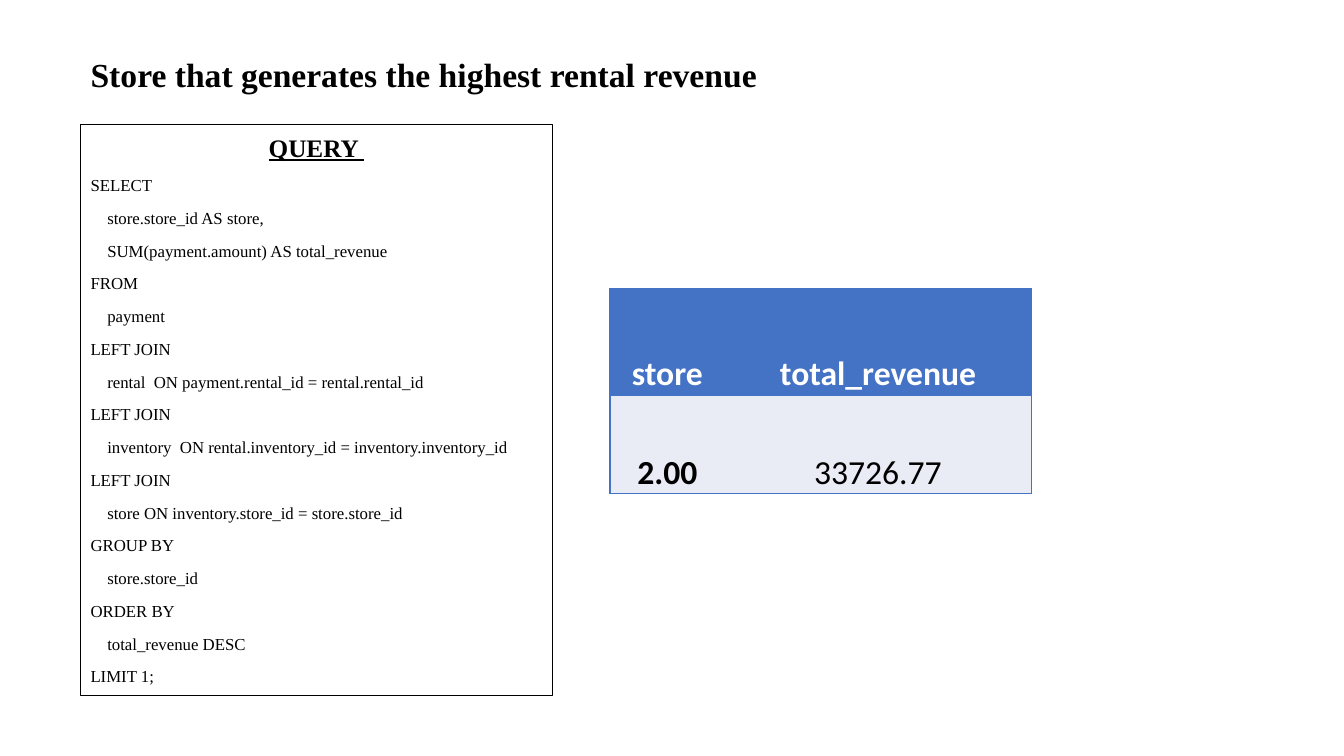
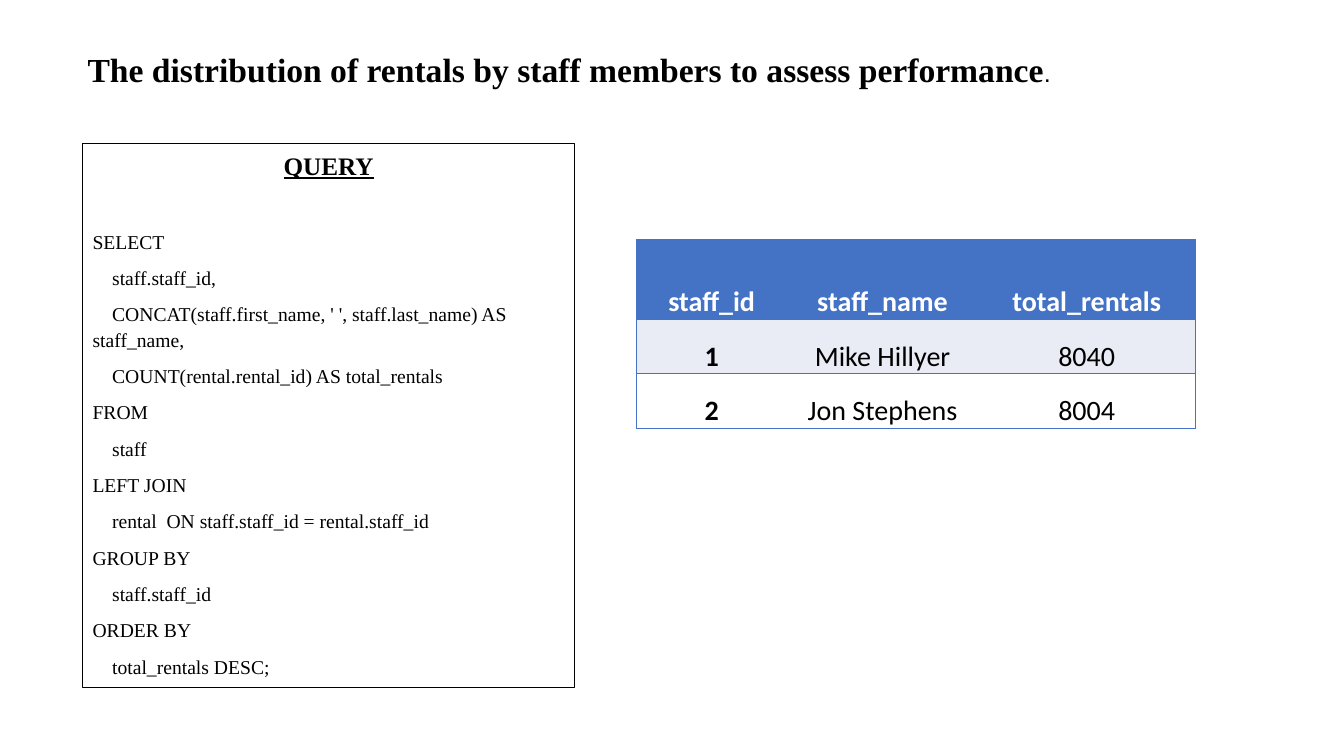
from lxml import etree
from pptx import Presentation
from pptx.dml.color import RGBColor
from pptx.enum.shapes import MSO_SHAPE
from pptx.enum.text import MSO_ANCHOR, PP_ALIGN
from pptx.oxml.ns import qn
from pptx.util import Inches, Pt

RECTANGLE = MSO_SHAPE.RECTANGLE
TOP, BOTTOM = MSO_ANCHOR.TOP, MSO_ANCHOR.BOTTOM
LEFT, CENTER = PP_ALIGN.LEFT, PP_ALIGN.CENTER

COLORS = {
    name: RGBColor.from_string(value)
    for name, value in {
        "ink": "000000",
        "paper": "FFFFFF",
        "accent": "4472C4",
        "band": "E9EBF5",
    }.items()
}
SERIF, SANS, PLAIN = "Times New Roman", "Calibri", "Arial"
LINE_SPACING = 1.07
SPACE_AFTER = Pt(8)

PAGES = [
    {
        "title": [("Store that generates the highest rental revenue", SERIF, 24, True)],
        "title_area": (2.25, 6.53, 60.45, 6.67),
        "title_indent": 0.5,
        "query_area": (6, 16.53, 35.1, 75.47),
        "heading": "QUERY ",
        "heading_gap": SPACE_AFTER,
        "query_size": 12,
        "query": [
            ("SELECT", ["store.store_id AS store,",
                        "SUM(payment.amount) AS total_revenue"]),
            ("FROM", ["payment"]),
            ("LEFT JOIN", ["rental  ON payment.rental_id = rental.rental_id"]),
            ("LEFT JOIN", ["inventory  ON rental.inventory_id = inventory.inventory_id"]),
            ("LEFT JOIN", ["store ON inventory.store_id = store.store_id"]),
            ("GROUP BY", ["store.store_id"]),
            ("ORDER BY", ["total_revenue DESC"]),
            ("LIMIT 1;", []),
        ],
        "table_corner": (45.38, 38.13),
        "columns": [8.55, 22.8],
        "rows": [14.13, 13.07],
        "table_size": 24,
        "cells": [["store", "total_revenue"], ["2.00", "33726.77"]],
    },
    {
        "title": [
            ("The distribution of rentals by staff members to assess performance",
             SERIF, 24, True),
            (".", PLAIN, 18, False),
        ],
        "title_area": (1.43, 5.87, 84.38, 6.67),
        "title_indent": 0.58,
        "query_area": (6.15, 18.93, 36.6, 72),
        "heading": "QUERY",
        "heading_gap": Pt(34),
        "query_size": 14,
        "query": [
            ("SELECT", ["staff.staff_id,",
                        "CONCAT(staff.first_name, ' ', staff.last_name) AS staff_name,",
                        "COUNT(rental.rental_id) AS total_rentals"]),
            ("FROM", ["staff"]),
            ("LEFT JOIN", ["rental  ON staff.staff_id = rental.staff_id"]),
            ("GROUP BY", ["staff.staff_id"]),
            ("ORDER BY", ["total_rentals DESC;"]),
        ],
        "table_corner": (47.33, 31.73),
        "columns": [11.25, 14.18, 16.2],
        "rows": [10.53, 7.2, 7.2],
        "table_size": 20,
        "cells": [
            ["staff_id", "staff_name", "total_rentals"],
            ["1", "Mike Hillyer", "8040"],
            ["2", "Jon Stephens", "8004"],
        ],
    },
]

deck = Presentation()
deck.slide_width, deck.slide_height = Inches(13.33), Inches(7.5)
across, down = deck.slide_width / 100, deck.slide_height / 100


def place(area):
    return [round(share * unit) for share, unit in zip(area, (across, down) * 2)]


def style(para, font, size, color, bold=False, align=LEFT):
    para.alignment = align
    para.line_spacing = LINE_SPACING
    para.space_after = SPACE_AFTER
    para.font.name, para.font.size = font, Pt(size)
    para.font.bold = bold
    para.font.color.rgb = COLORS[color]


for content in PAGES:
    page = deck.slides.add_slide(deck.slide_layouts[6])

    title = page.shapes.add_textbox(*place(content["title_area"])).text_frame
    title.word_wrap = True
    para = title.paragraphs[0]
    para.space_before = Pt(12)
    properties = para._p.get_or_add_pPr()
    properties.set("marL", str(Inches(content["title_indent"])))
    properties.set("indent", "0")
    for text, font, size, bold in content["title"]:
        span = para.add_run()
        span.text = text
        span.font.name, span.font.size, span.font.bold = font, Pt(size), bold
        span.font.color.rgb = COLORS["ink"]

    box = page.shapes.add_shape(RECTANGLE, *place(content["query_area"]))
    box.shadow.inherit = False
    box.fill.background()
    box.line.color.rgb = COLORS["ink"]
    box.line.width = Pt(0.75)
    frame = box.text_frame
    frame.word_wrap = True
    frame.vertical_anchor = TOP
    heading = frame.paragraphs[0]
    heading.text = content["heading"]
    style(heading, SERIF, 18, "ink", True, CENTER)
    heading.font.underline = True
    heading.space_after = content["heading_gap"]
    size = content["query_size"]
    for keyword, clauses in content["query"]:
        for position, text in enumerate([keyword, *clauses]):
            para = frame.add_paragraph()
            para.text = text
            style(para, SERIF, size, "ink")
            if position:
                para._p.get_or_add_pPr().set("indent", str(Pt(size)))

    columns, rows = content["columns"], content["rows"]
    area = (*content["table_corner"], sum(columns), sum(rows))
    table = page.shapes.add_table(len(rows), len(columns), *place(area)).table
    for column, share in zip(table.columns, columns):
        column.width = round(share * across)
    for row, share in zip(table.rows, rows):
        row.height = round(share * down)
    for r, texts in enumerate(content["cells"]):
        for c, text in enumerate(texts):
            cell = table.cell(r, c)
            cell.vertical_anchor = BOTTOM
            cell.margin_left = cell.margin_right = Inches(0.07)
            cell.margin_top = cell.margin_bottom = 0
            para = cell.text_frame.paragraphs[0]
            para.text = text
            style(para, SANS, content["table_size"], "ink" if r else "paper",
                  r == 0 or c == 0, CENTER)
            cell.fill.solid()
            cell.fill.fore_color.rgb = COLORS[("accent", "band", "paper")[r]]
            edges = {"lnL": c == 0, "lnR": c == len(columns) - 1,
                     "lnT": True, "lnB": True}
            properties = cell._tc.get_or_add_tcPr()
            for position, (edge, visible) in enumerate(edges.items()):
                line = etree.Element(qn("a:" + edge), w=str(Pt(1)))
                properties.insert(position, line)
                if visible:
                    fill = etree.SubElement(line, qn("a:solidFill"))
                    etree.SubElement(fill, qn("a:srgbClr"), val=str(COLORS["accent"]))
                else:
                    etree.SubElement(line, qn("a:noFill"))

deck.save("out.pptx")
